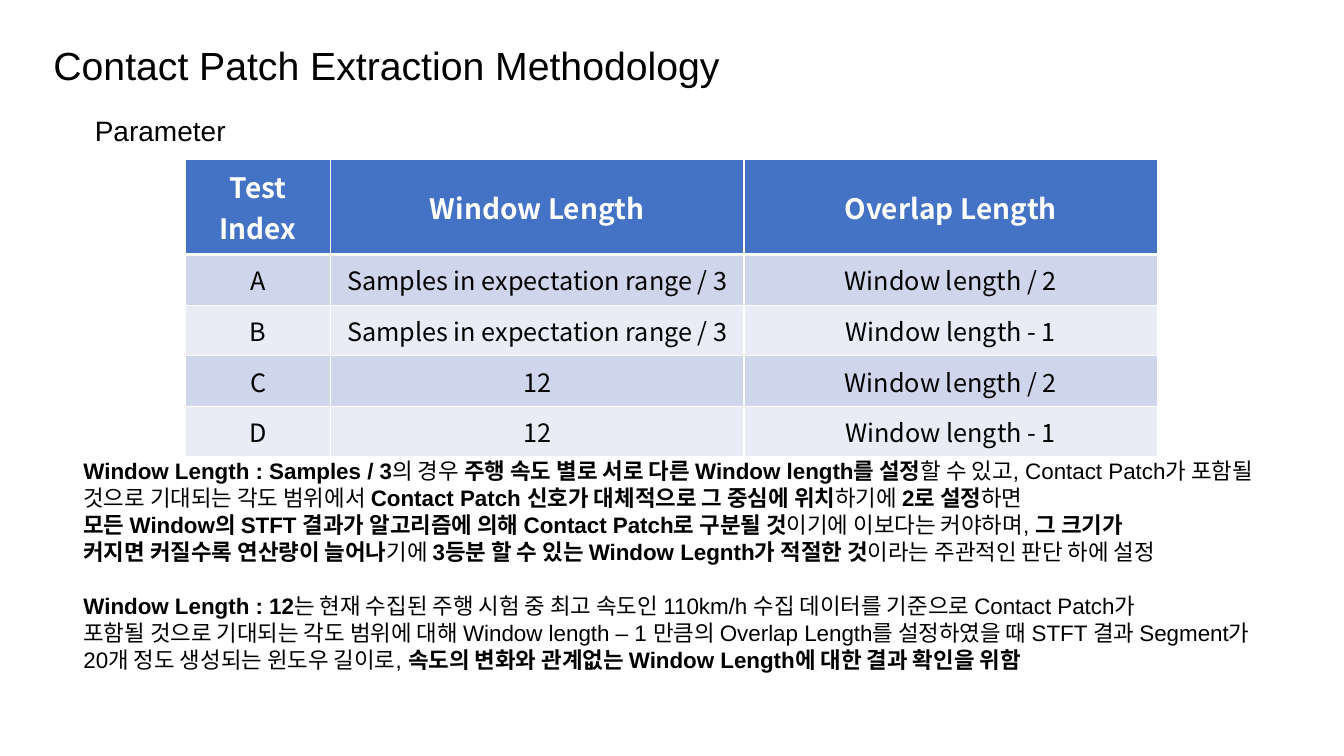
from dataclasses import dataclass

from lxml.etree import SubElement
from pptx import Presentation
from pptx.dml.color import RGBColor
from pptx.enum.text import MSO_ANCHOR, MSO_AUTO_SIZE, PP_ALIGN
from pptx.oxml.ns import qn
from pptx.util import Inches, Pt

# Content
TITLE = "Contact Patch Extraction Methodology"
SUBTITLE = "Parameter"
PARAMETERS = [
    ("Test Index", "Window Length", "Overlap Length"),
    ("A", "Samples in expectation range / 3", "Window length / 2"),
    ("B", "Samples in expectation range / 3", "Window length - 1"),
    ("C", "12", "Window length / 2"),
    ("D", "12", "Window length - 1"),
]
# Each paragraph alternates bold and regular text, starting with bold
NOTES = [
    [
        "Window Length : Samples / 3",
        "의 경우 ",
        "주행 속도 별로 서로 다른 Window length를 설정",
        "할 수 있고, Contact Patch가 포함될 것으로 기대되는 각도 범위에서 ",
        "Contact Patch 신호가 대체적으로 그 중심에 위치",
        "하기에 ",
        "2로 설정",
        "하면\n",
        "모든 Window의 STFT 결과가 알고리즘에 의해 Contact Patch로 구분될 것",
        "이기에 이보다는 커야하며, ",
        "그 크기가\n커지면 커질수록 연산량이 늘어나",
        "기에 ",
        "3등분 할 수 있는 Window Legnth가 적절한 것",
        "이라는 주관적인 판단 하에 설정",
    ],
    [
        "Window Length : 12",
        "는 현재 수집된 주행 시험 중 최고 속도인 110km/h 수집 데이터를 기준으로 "
        "Contact Patch가\n포함될 것으로 기대되는 각도 범위에 대해 Window length – 1 만큼의 "
        "Overlap Length를 설정하였을 때 STFT 결과 Segment가 20개 정도 생성되는 윈도우 길이로, ",
        "속도의 변화와 관계없는 Window Length에 대한 결과 확인을 위함",
    ],
]


@dataclass(frozen=True)
class Theme:
    font: str = "Arial"
    table_font: str = "Noto Sans CJK KR"
    ink: str = "000000"
    white: str = "FFFFFF"
    header: str = "4472C4"
    bands: tuple = ("CFD5EA", "E9EBF5")
    title_size: int = 28
    heading_size: int = 20
    cell_size: int = 18
    note_size: int = 16
    note_pitch: float = 19.3


THEME = Theme()


def place(shape, left, top, width, height):
    shape.left, shape.top = Inches(left), Inches(top)
    shape.width, shape.height = Inches(width), Inches(height)


def set_font(font, size, color=THEME.ink, name=THEME.font, bold=False):
    font.name, font.size, font.bold = name, Pt(size), bold
    font.color.rgb = RGBColor.from_string(color)


def fill_placeholder(shape, text, size, anchor):
    frame = shape.text_frame
    frame.text = text
    frame.auto_size = MSO_AUTO_SIZE.NONE
    frame.vertical_anchor = anchor
    para = frame.paragraphs[0]
    para.alignment = PP_ALIGN.LEFT
    para.space_before = Pt(0)
    properties = para._p.get_or_add_pPr()
    properties.set("marL", "0")
    properties.set("indent", "0")
    SubElement(properties, qn("a:buNone"))
    set_font(para.font, size)
    return para


def add_borders(cell, widths):
    properties = cell._tc.get_or_add_tcPr()
    for side, width in zip("LRTB", widths):
        line = SubElement(properties, qn(f"a:ln{side}"), w=str(Pt(width)))
        solid = SubElement(line, qn("a:solidFill"))
        SubElement(solid, qn("a:srgbClr"), val=THEME.white)


def format_cell(cell, text, row):
    is_header = row == 0
    add_borders(cell, (1, 1, 3 if row == 1 else 1, 3 if is_header else 1))
    cell.fill.solid()
    color = THEME.header if is_header else THEME.bands[(row - 1) % 2]
    cell.fill.fore_color.rgb = RGBColor.from_string(color)
    cell.margin_left = cell.margin_right = Inches(0.13)
    cell.margin_top = cell.margin_bottom = Inches(0.07)
    cell.vertical_anchor = MSO_ANCHOR.MIDDLE
    cell.text = text
    para = cell.text_frame.paragraphs[0]
    para.alignment = PP_ALIGN.CENTER
    set_font(
        para.font,
        THEME.heading_size if is_header else THEME.cell_size,
        THEME.white if is_header else THEME.ink,
        THEME.table_font,
        is_header,
    )


def add_note(para, pieces):
    para.line_spacing = Pt(THEME.note_pitch)
    for index, piece in enumerate(pieces):
        for number, line in enumerate(piece.split("\n")):
            if number:
                para.add_line_break()
            if line:
                span = para.add_run()
                span.text = line
                set_font(span.font, THEME.note_size, bold=index % 2 == 0)


def main():
    deck = Presentation()
    deck.slide_width, deck.slide_height = Inches(13.33), Inches(7.5)
    page = deck.slides.add_slide(deck.slide_layouts[1])

    # Title and heading
    title, heading = page.shapes.title, page.placeholders[1]
    place(title, 0.43, 0.35, 10.8, 0.65)
    para = fill_placeholder(title, TITLE, THEME.title_size, MSO_ANCHOR.MIDDLE)
    para.line_spacing = 0.9
    place(heading, 0.84, 1.08, 11.64, 0.5)
    fill_placeholder(heading, SUBTITLE, THEME.heading_size, MSO_ANCHOR.TOP)

    # Parameter table
    column_widths = (1.44, 4.1, 4.1)
    row_heights = [0.81] + [0.47] * (len(PARAMETERS) - 1)
    table = page.shapes.add_table(
        len(row_heights), len(column_widths), Inches(1.84), Inches(1.58),
        Inches(sum(column_widths)), Inches(sum(row_heights)),
    ).table
    for column, width in zip(table.columns, column_widths):
        column.width = Inches(width)
    for row, (height, texts) in enumerate(zip(row_heights, PARAMETERS)):
        table.rows[row].height = Inches(height)
        for column, text in enumerate(texts):
            format_cell(table.cell(row, column), text, row)

    # Explanation, with one line of space between paragraphs
    notes = page.shapes.add_textbox(
        Inches(0.73), Inches(4.48), Inches(11.86), Inches(2.28)
    ).text_frame
    notes.word_wrap = True
    for index, pieces in enumerate(NOTES):
        para = notes.add_paragraph() if index else notes.paragraphs[0]
        if index:
            para.space_before = Pt(THEME.note_pitch)
        add_note(para, pieces)

    deck.save("out.pptx")


if __name__ == "__main__":
    main()
